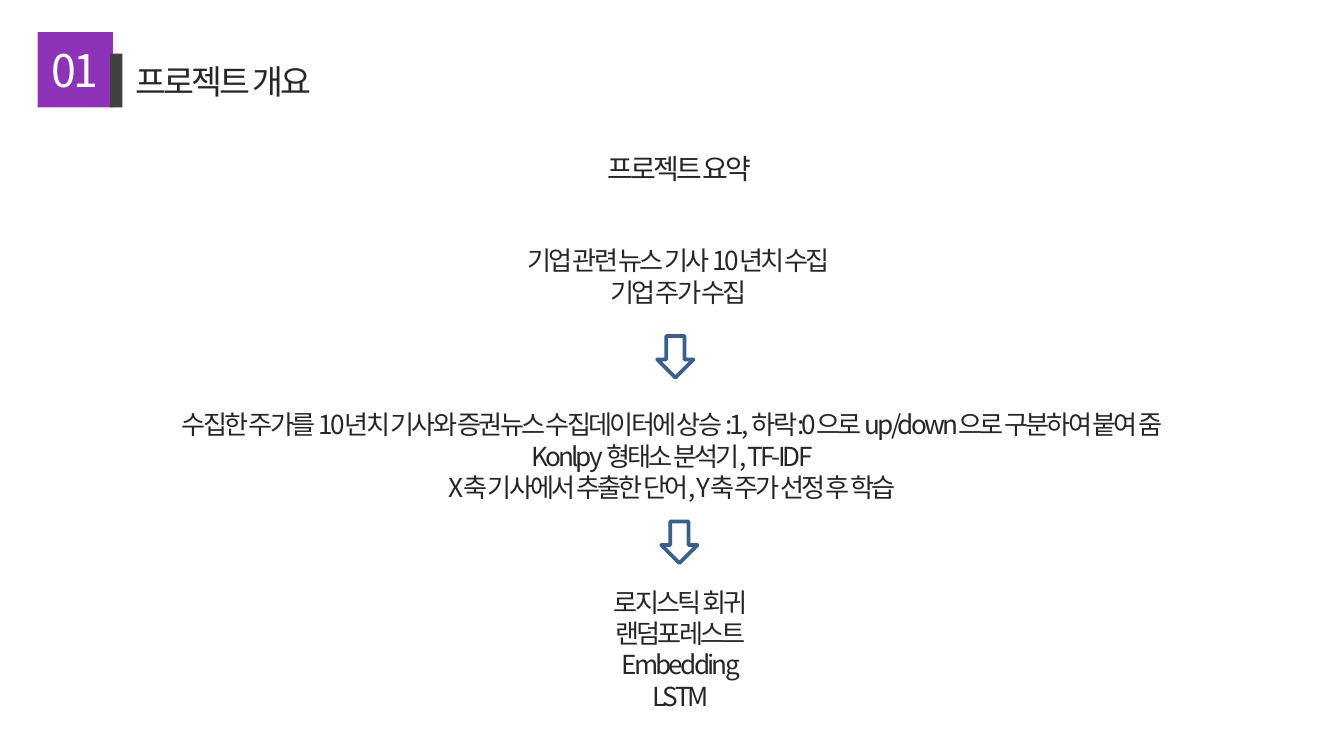
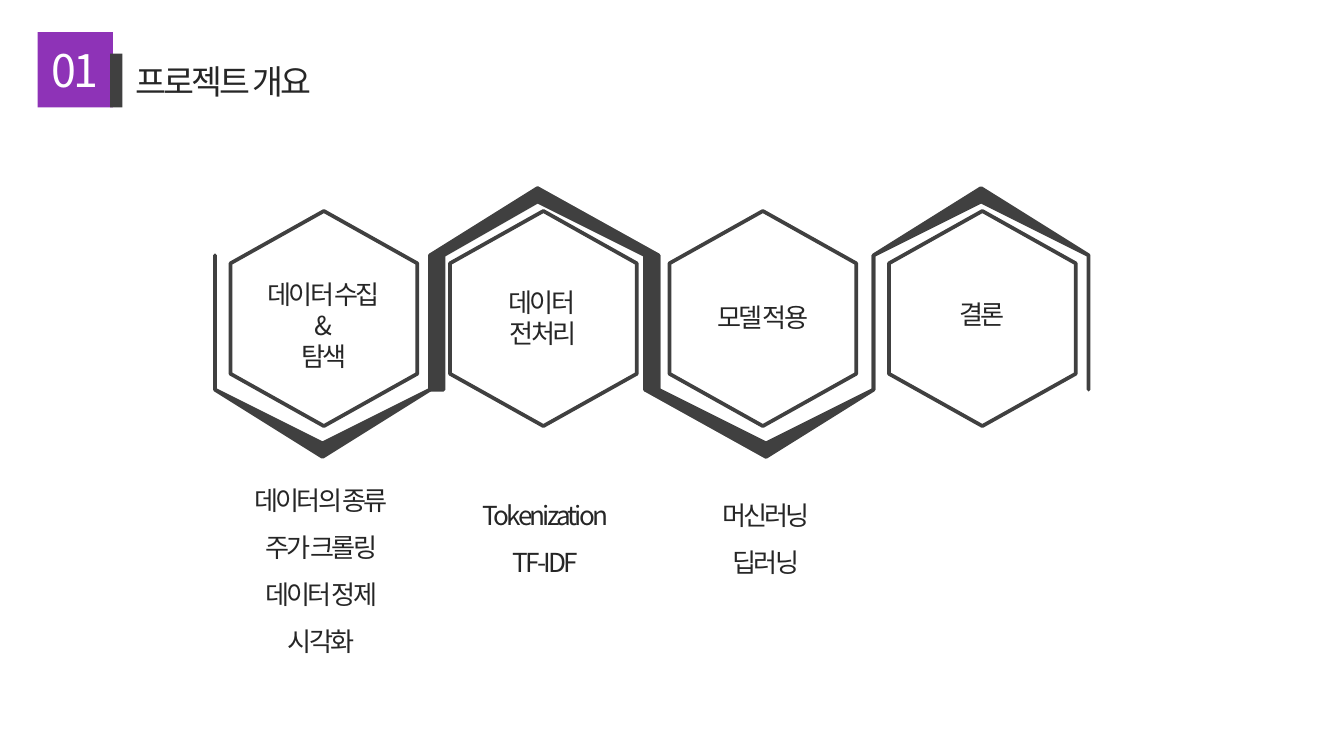
from lxml.etree import SubElement
from pptx import Presentation
from pptx.dml.color import RGBColor
from pptx.enum.shapes import MSO_SHAPE
from pptx.enum.text import MSO_ANCHOR, MSO_AUTO_SIZE, PP_ALIGN
from pptx.oxml.ns import qn
from pptx.util import Inches, Pt

# The grid: one cell is a hundredth of the slide's width.
CELL = Inches(0.1)
COLUMNS, ROWS = 100, 56.25

FONT = "Noto Sans CJK KR"
PURPLE, DARK, INK, BLUE, WHITE = "8E33B7", "404040", "262626", "3A5F8C", "FFFFFF"
COMPARISON_LAYOUT = 4

# Flow on the first slide: box and lines of each step
STEPS = [
    ((1, 17.7, 99, 5.7), ["기업 관련 뉴스 기사 10년치 수집", "기업 주가 수집"]),
    ((0, 29.9, 100, 10.4), [
        "수집한 주가를 10년치 기사와 증권뉴스 수집데이터에 상승 :1, 하락:0으로 "
        "up/down으로 구분하여 붙여 줌",
        "Konlpy 형태소 분석기, TF-IDF",
        "X축 기사에서 추출한 단어, Y축 주가 선정 후 학습",
    ]),
    ((1.3, 43.1, 98.7, 10.4), ["로지스틱 회귀", "랜덤포레스트", "Embedding", "LSTM"]),
]
ARROWS = [(48.9, 25), (49.2, 38.8)]

# Stages on the second slide: top and lines of each label
STAGES = [
    (20.2, ["데이터 수집", "&", "탐색"]),
    (20.8, ["데이터 ", "전처리"]),
    (21.9, ["모델 적용"]),
    (21.7, ["결론"]),
]
TASKS = [
    ((11.2, 34.4, 25.4, 21.8), ["데이터의 종류", "주가 크롤링", "데이터 정제", "시각화"]),
    ((27.9, 35.5, 25.4, 11.6), ["Tokenization", "TF-IDF"]),
    ((44.3, 35.5, 25.4, 11.6), ["머신러닝", "딥러닝"]),
]
FIRST_CENTRE, STAGE_PITCH = 24.1, 16.33
HEXAGON_WIDTH, HEXAGON_HEIGHT, HEXAGON_MIDDLE = 16, 13.9, 23.7
BAND_LOW_TIP, BAND_HIGH_TIP = 33.7, 14
# Outline of a band that points down, measured from its tip
BAND = [(0, 0), (-8.4, -4.7), (-8.4, -14.7), (-7.8, -15), (-7.8, -5),
        (0, -0.6), (7.9, -5), (7.9, -14.9), (8.4, -14.7), (8.4, -4.7)]


def color(value):
    return RGBColor.from_string(value)


def cells(*lengths):
    return [round(length * CELL) for length in lengths]


def place(shape, box):
    shape.left, shape.top, shape.width, shape.height = cells(*box)


def write(shape, lines, size=14, ink=INK, align=PP_ALIGN.CENTER, spacing=1):
    """Fill a text box or placeholder with plain lines, free of bullets."""
    frame = shape.text_frame
    frame.word_wrap = True
    frame.auto_size = MSO_AUTO_SIZE.NONE
    frame.vertical_anchor = MSO_ANCHOR.TOP
    for index, line in enumerate(lines):
        paragraph = frame.add_paragraph() if index else frame.paragraphs[0]
        paragraph.alignment = align
        paragraph.line_spacing = spacing
        paragraph.space_before = Pt(0)
        properties = paragraph._p.get_or_add_pPr()
        properties.set("marL", "0")
        properties.set("indent", "0")
        SubElement(properties, qn("a:buNone"))
        run = paragraph.add_run()
        run.text = line
        run.font.size = Pt(size)
        run.font.bold = False
        run.font.color.rgb = color(ink)
        run.font.name = FONT
        run_properties = run._r.get_or_add_rPr()
        run_properties.set("spc", "-150")
        SubElement(run_properties, qn("a:ea"), typeface=FONT)


def add_text(slide, box, lines, **style):
    write(slide.shapes.add_textbox(*cells(*box)), lines, **style)


def paint(shape, fill=None, line=None):
    shape.shadow.inherit = False
    if fill:
        shape.fill.solid()
        shape.fill.fore_color.rgb = color(fill)
    else:
        shape.fill.background()
    if line:
        shape.line.color.rgb = color(line)
        shape.line.width = Pt(2)
    else:
        shape.line.fill.background()


def add_shape(slide, kind, box, **look):
    shape = slide.shapes.add_shape(kind, *cells(*box))
    paint(shape, **look)
    return shape


def add_band(slide, centre, points_down):
    sign, tip = (1, BAND_LOW_TIP) if points_down else (-1, BAND_HIGH_TIP)
    outline = [(centre + sign * x, tip + sign * y) for x, y in BAND]
    builder = slide.shapes.build_freeform(*outline[0], scale=CELL)
    builder.add_line_segments(outline[1:], close=True)
    paint(builder.convert_to_shape(), fill=DARK, line=DARK)


def add_hexagon(slide, centre):
    box = (centre - HEXAGON_WIDTH / 2, HEXAGON_MIDDLE - HEXAGON_HEIGHT / 2,
           HEXAGON_WIDTH, HEXAGON_HEIGHT)
    hexagon = add_shape(slide, MSO_SHAPE.HEXAGON, box, fill=WHITE, line=DARK)
    hexagon.adjustments[0] = 0.28
    hexagon.rotation = 270


def add_slide(presentation, blocks, **style):
    """Add a slide with the numbered heading and one body placeholder per block."""
    slide = presentation.slides.add_slide(presentation.slide_layouts[COMPARISON_LAYOUT])
    add_shape(slide, MSO_SHAPE.RECTANGLE, (2.8, 2.4, 5.6, 5.6), fill=PURPLE)
    add_text(slide, (2, 2.7, 7.1, 5), ["01"], size=24, ink=WHITE)
    place(slide.shapes.title, (9.1, 4, 39.4, 4))
    write(slide.shapes.title, ["프로젝트 개요"], size=18, align=PP_ALIGN.LEFT)
    add_shape(slide, MSO_SHAPE.RECTANGLE, (8.2, 4, 0.9, 4), fill=DARK)

    bodies = list(slide.placeholders)[1:]
    for body, (box, lines) in zip(bodies, blocks):
        place(body, box)
        write(body, lines, **style)
    for body in bodies[len(blocks):]:
        body.element.getparent().remove(body.element)
    return slide


def build_summary(presentation):
    slide = add_slide(presentation, STEPS)
    add_text(slide, (42.5, 10.8, 16.1, 3.5), ["프로젝트 요약"], size=15)
    for left, top in ARROWS:
        add_shape(slide, MSO_SHAPE.DOWN_ARROW, (left, top, 2.7, 3.1), line=BLUE)


def build_process(presentation):
    slide = add_slide(presentation, TASKS, spacing=1.5)
    for index, (top, lines) in enumerate(STAGES):
        centre = FIRST_CENTRE + index * STAGE_PITCH
        add_hexagon(slide, centre)
        add_band(slide, centre, points_down=index % 2 == 0)
        add_text(slide, (centre - 7.8, top, 15.6, 1 + 2.35 * len(lines)), lines)


def main():
    presentation = Presentation()
    presentation.slide_width, presentation.slide_height = cells(COLUMNS, ROWS)
    build_summary(presentation)
    build_process(presentation)
    presentation.save("out.pptx")


if __name__ == "__main__":
    main()
